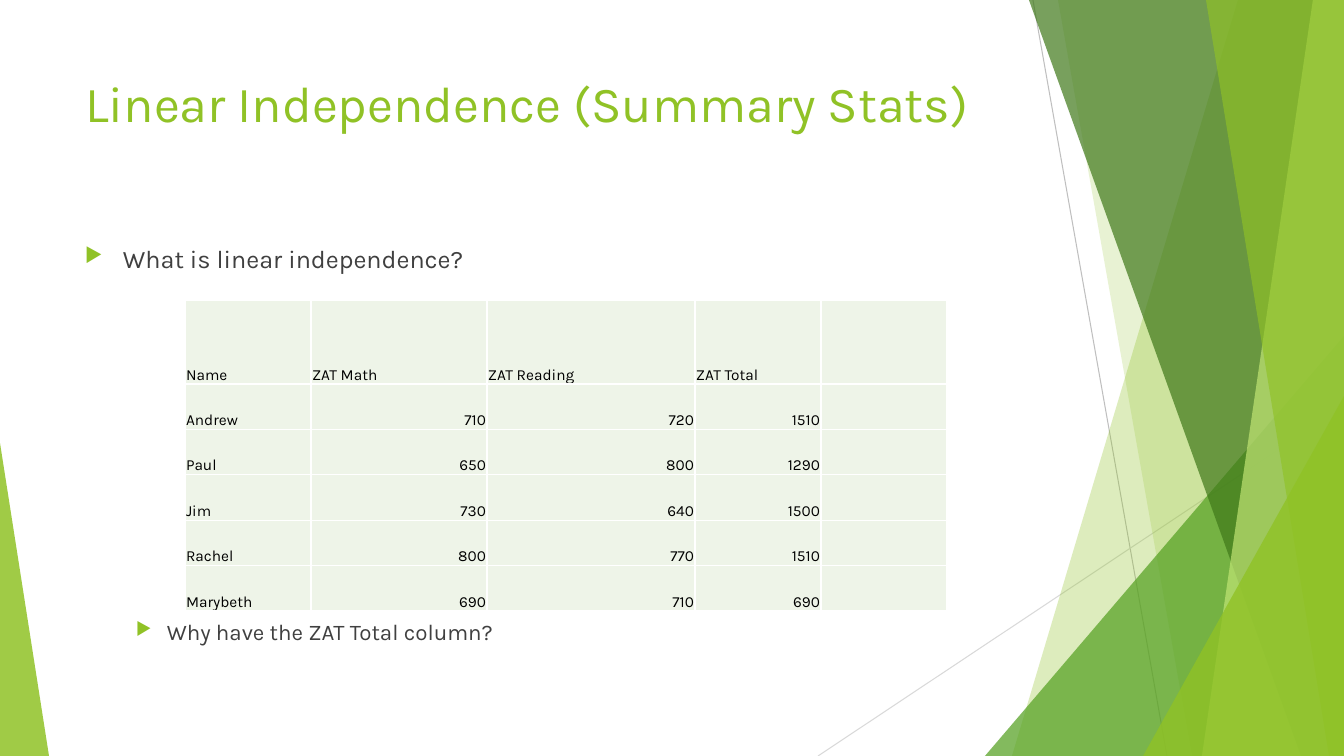
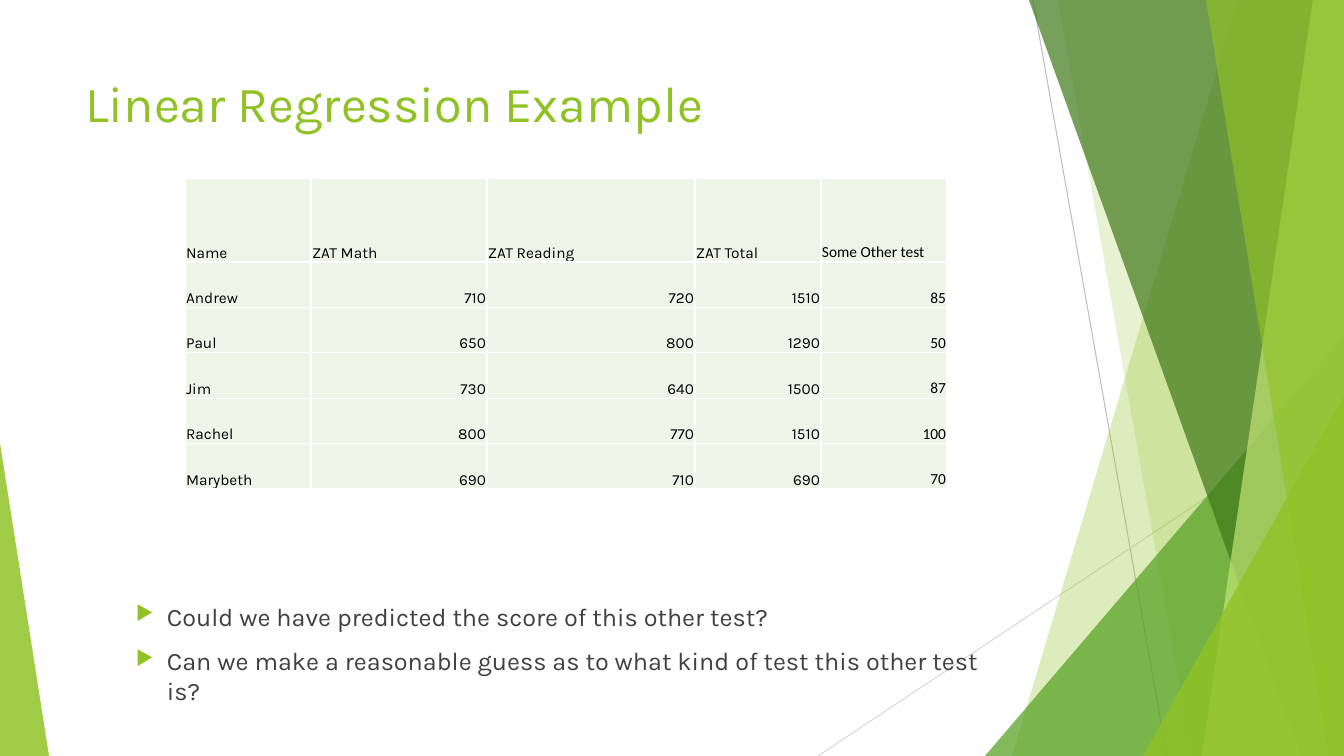
from dataclasses import dataclass
from typing import Any

from lxml.etree import SubElement as Sub
from pptx import Presentation
from pptx.dml.color import RGBColor as Rgb
from pptx.enum.shapes import MSO_CONNECTOR as Conn, MSO_SHAPE as Geo
from pptx.enum.text import MSO_ANCHOR as Anchor, MSO_AUTO_SIZE as Auto, PP_ALIGN as Align
from pptx.oxml.ns import qn
from pptx.util import Pt

WIDE, HIGH = 1344, 756
SCALE = 12192000 / WIDE
LEFT = 75
FONT = "Karla"
LIME, GRASS, MOSS, PALE = "90C226", "54A021", "3F7819", "C0E474"
INK, BLACK, WHITE, CELL = "404040", "000000", "FFFFFF", "EEF4E8"
COLS = [126, 176, 208, 126, 126]
HEAD, TALL = 84, 311


@dataclass
class Line:
    x1: int
    y1: int
    x2: int
    y2: int
    hue: str


@dataclass
class Band:
    top: int
    foot: int
    hue: str
    alpha: int


@dataclass
class Wedge:
    x: int
    y: int
    wide: int
    high: int
    tip: int
    hue: str
    alpha: int


@dataclass
class Note:
    y: int
    high: int
    size: int
    inset: int
    hang: int
    lines: list[str]


@dataclass
class Page:
    title: str
    top: int
    last: list[str]
    notes: list[Note]


ART = [
    Line(1033, 0, 1167, HIGH, "BFBFBF"),
    Line(WIDE, 406, 818, HIGH, "D9D9D9"),
    Band(1238, 1012, LIME, 30),
    Band(1058, 1192, LIME, 20),
    Wedge(985, 336, 359, 420, 1, GRASS, 72),
    Band(1029, 1301, MOSS, 70),
    Band(1313, 1202, PALE, 70),
    Band(1206, 1329, LIME, 65),
    Wedge(1143, 396, 201, 360, 1, LIME, 80),
    Wedge(0, 443, 49, 313, 0, LIME, 85),
]

SCORES = [
    ["Name", "ZAT Math", "ZAT Reading", "ZAT Total"],
    ["Andrew", "710", "720", "1510"],
    ["Paul", "650", "800", "1290"],
    ["Jim", "730", "640", "1500"],
    ["Rachel", "800", "770", "1510"],
    ["Marybeth", "690", "710", "690"],
]

PAGES = [
    Page("Linear Independence (Summary Stats)", 300, [""] * len(SCORES), [
        Note(238, 40, 18, 38, 38, ["What is linear independence?"]),
        Note(613, 40, 16, 82, 31, ["Why have the ZAT Total column?"]),
    ]),
    Page("Linear Regression Example", 178,
         ["Some Other test", "85", "50", "87", "100", "70"], [
             Note(596, 120, 18, 82, 31, [
                 "Could we have predicted the score of this other test?",
                 "Can we make a reasonable guess as to what kind of test this other test is?",
             ]),
         ]),
]


def px(num: int) -> int:
    return round(num * SCALE)


def rgb(hue: str) -> Rgb:
    return Rgb.from_string(hue)


def style(para: Any, size: int, hue: str, font: str = FONT) -> None:
    for run in para.runs:
        run.font.size = Pt(size)
        run.font.name = font
        run.font.color.rgb = rgb(hue)


def paint(shape: Any, hue: str, alpha: int) -> None:
    shape.shadow.inherit = False
    shape.line.fill.background()
    shape.fill.solid()
    shape.fill.fore_color.rgb = rgb(hue)
    tone = shape.element.find(".//" + qn("a:srgbClr"))
    Sub(tone, qn("a:alpha"), val=str(alpha * 1000))


def draw(shapes: Any, item: Line | Band | Wedge) -> None:
    if isinstance(item, Line):
        rule = shapes.add_connector(
            Conn.STRAIGHT, px(item.x1), px(item.y1), px(item.x2), px(item.y2))
        rule.line.color.rgb = rgb(item.hue)
        rule.line.width = Pt(0.75)
        Sub(rule.element.spPr, qn("a:effectLst"))
    elif isinstance(item, Band):
        pen = shapes.build_freeform(px(item.top), 0)
        pen.add_line_segments(
            [(px(WIDE), 0), (px(WIDE), px(HIGH)), (px(item.foot), px(HIGH))])
        paint(pen.convert_to_shape(), item.hue, item.alpha)
    else:
        wedge = shapes.add_shape(
            Geo.ISOSCELES_TRIANGLE, px(item.x), px(item.y), px(item.wide), px(item.high))
        wedge.adjustments[0] = item.tip
        paint(wedge, item.hue, item.alpha)


def adorn(layout: Any, slide: Any) -> None:
    for spot in list(layout.placeholders):
        if spot.placeholder_format.idx:
            layout.shapes.element.remove(spot.element)
    for item in ART:
        draw(slide.shapes, item)
    for shape in list(slide.shapes)[1:]:
        layout.shapes.element.append(shape.element)


def head(slide: Any, text: str) -> None:
    title = slide.shapes.title
    title.left, title.top = px(LEFT), px(67)
    title.width, title.height = px(948), px(145)
    frame = title.text_frame
    frame.text = text
    frame.auto_size = Auto.NONE
    frame.vertical_anchor = Anchor.TOP
    frame.paragraphs[0].alignment = Align.LEFT
    style(frame.paragraphs[0], 36, LIME)


def bullet(para: Any, note: Note) -> None:
    props = para._p.get_or_add_pPr()
    props.set("marL", str(px(note.inset)))
    props.set("indent", str(-px(note.hang)))
    tint = Sub(props, qn("a:buClr"))
    Sub(tint, qn("a:srgbClr"), val=LIME)
    Sub(props, qn("a:buSzPct"), val="80000")
    Sub(props, qn("a:buChar"), char="▶")


def write(slide: Any, note: Note) -> None:
    frame = slide.shapes.add_textbox(
        px(LEFT), px(note.y), px(940), px(note.high)).text_frame
    frame.word_wrap = True
    frame.text = "\n".join(note.lines)
    for i, para in enumerate(frame.paragraphs):
        para.space_before = Pt(10 if i else 0)
        style(para, note.size, INK)
        bullet(para, note)


def edge(cell: Any) -> None:
    props = cell._tc.get_or_add_tcPr()
    for i, side in enumerate(("lnL", "lnR", "lnT", "lnB")):
        line = props.makeelement(qn(f"a:{side}"), {"w": str(Pt(1))})
        fill = Sub(line, qn("a:solidFill"))
        Sub(fill, qn("a:srgbClr"), val=WHITE)
        props.insert(i, line)


def fill(cell: Any, text: str, right: bool, font: str) -> None:
    cell.fill.solid()
    cell.fill.fore_color.rgb = rgb(CELL)
    cell.vertical_anchor = Anchor.BOTTOM
    cell.margin_left = cell.margin_right = cell.margin_top = px(1)
    cell.margin_bottom = 0
    edge(cell)
    if text:
        cell.text_frame.text = text
        para = cell.text_frame.paragraphs[0]
        para.alignment = Align.RIGHT if right else Align.LEFT
        style(para, 11, BLACK, font)


def grid(slide: Any, page: Page) -> None:
    rows = [row + [end] for row, end in zip(SCORES, page.last)]
    table = slide.shapes.add_table(
        len(rows), len(COLS), px(185), px(page.top), px(sum(COLS)), px(TALL)).table
    table.first_row = table.horz_banding = False
    for col, wide in zip(table.columns, COLS):
        col.width = px(wide)
    for r, row in enumerate(rows):
        table.rows[r].height = px(TALL - HEAD) // (len(rows) - 1) if r else px(HEAD)
        for c, text in enumerate(row):
            font = "Calibri" if c == len(COLS) - 1 else FONT
            fill(table.cell(r, c), text, r > 0 and c > 0, font)


def main() -> None:
    deck = Presentation()
    deck.slide_width, deck.slide_height = px(WIDE), px(HIGH)
    layout = deck.slide_layouts[5]
    for i, page in enumerate(PAGES):
        slide = deck.slides.add_slide(layout)
        if i == 0:
            adorn(layout, slide)
        head(slide, page.title)
        for note in page.notes:
            write(slide, note)
        grid(slide, page)
    deck.save("out.pptx")


if __name__ == "__main__":
    main()
